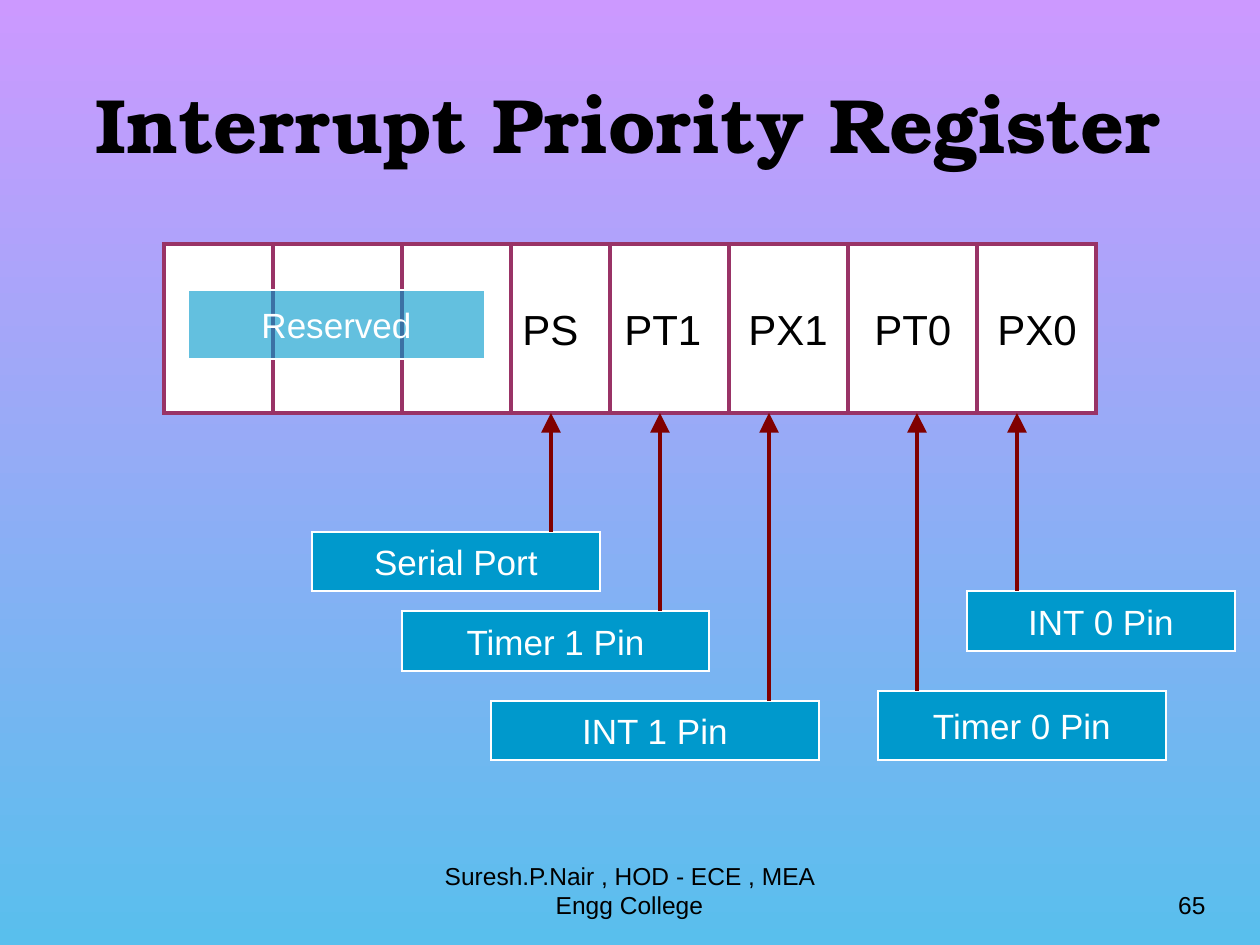
"""Build the Interrupt Priority Register slide."""
from lxml import etree
from pptx import Presentation
from pptx.dml.color import RGBColor
from pptx.enum.shapes import MSO_CONNECTOR, MSO_SHAPE
from pptx.enum.text import MSO_ANCHOR, PP_ALIGN
from pptx.oxml.ns import qn
from pptx.util import Pt

PX = 914400 / 126
RECTANGLE = MSO_SHAPE.RECTANGLE
STRAIGHT = MSO_CONNECTOR.STRAIGHT
MIDDLE, BOTTOM = MSO_ANCHOR.MIDDLE, MSO_ANCHOR.BOTTOM
LEFT, CENTER, RIGHT = PP_ALIGN.LEFT, PP_ALIGN.CENTER, PP_ALIGN.RIGHT
BLACK = RGBColor(0x00, 0x00, 0x00)
WHITE = RGBColor(0xFF, 0xFF, 0xFF)
PLUM = RGBColor(0x99, 0x33, 0x66)
MAROON = RGBColor(0x80, 0x00, 0x00)
BLUE = RGBColor(0x00, 0x99, 0xCC)
LILAC = RGBColor(0xCC, 0x99, 0xFF)
SKY = RGBColor(0x59, 0xBF, 0xED)


def write(box, text, size, color, align, anchor, font="Arial"):
    frame = box.text_frame
    frame.word_wrap = True
    frame.vertical_anchor = anchor
    frame.text = text
    paragraph = frame.paragraphs[0]
    paragraph.alignment = align
    span = paragraph.runs[0]
    span.font.name = font
    span.font.size = Pt(size)
    span.font.color.rgb = color
    return span


def draw_line(x, start, end, color):
    line = page.shapes.add_connector(STRAIGHT, *(round(n * PX) for n in (x, start, x, end)))
    line.line.color.rgb = color
    line.line.width = Pt(2.25)
    etree.SubElement(line._element.spPr, qn("a:effectLst"))
    return line


deck = Presentation()
deck.slide_width, deck.slide_height = round(1260 * PX), round(945 * PX)
page = deck.slides.add_slide(deck.slide_layouts[5])

background = page.background.fill
background.gradient()
background.gradient_angle = 270
for stop, color in zip(background.gradient_stops, (LILAC, SKY)):
    stop.color.rgb = color

title = page.shapes.title
title.left, title.top, title.width, title.height = (round(n * PX) for n in (42, 31, 1173, 183))
heading = write(title, "Interrupt Priority Register", 44, BLACK, CENTER, MIDDLE, "TeX Gyre Bonum")
heading.font.bold = True

REGISTER_TOP, REGISTER_BOTTOM = 244, 413
blocks = {}
for name, left, top, width, height, fill, outline, weight in (
    ("Register", 164, REGISTER_TOP, 932, REGISTER_BOTTOM - REGISTER_TOP, WHITE, PLUM, 2.25),
    ("Reserved", 188, 290, 297, 69, BLUE, WHITE, 1),
    ("Serial Port", 312, 532, 288, 59, BLUE, WHITE, 1),
    ("Timer 1 Pin", 402, 611, 307, 60, BLUE, WHITE, 1),
    ("INT 1 Pin", 491, 701, 328, 59, BLUE, WHITE, 1),
    ("Timer 0 Pin", 878, 691, 288, 69, BLUE, WHITE, 1),
    ("INT 0 Pin", 967, 591, 268, 60, BLUE, WHITE, 1),
):
    block = page.shapes.add_shape(RECTANGLE, *(round(n * PX) for n in (left, top, width, height)))
    block.shadow.inherit = False
    block.fill.solid()
    block.fill.fore_color.rgb = fill
    block.line.color.rgb = outline
    block.line.width = Pt(weight)
    etree.SubElement(block.line._get_or_add_ln(), qn("a:miter"), lim="800000")
    blocks[name] = block
    if name == "Register":
        for x in (273, 402, 511, 610, 729, 848, 977):
            draw_line(x, REGISTER_TOP, REGISTER_BOTTOM, PLUM)
    else:
        write(block, name, 20, WHITE, CENTER, MIDDLE)

register = blocks["Register"]
write(register, "\tPS\tPT1\tPX1\tPT0\tPX0", 24, BLACK, LEFT, MIDDLE)
paragraph_properties = register.text_frame.paragraphs[0]._p.get_or_add_pPr()
tab_list = etree.SubElement(paragraph_properties, qn("a:tabLst"))
for position in (346, 448, 572, 698, 821):
    etree.SubElement(tab_list, qn("a:tab"), pos=str(round(position * PX)), algn="l")

reserved_color = blocks["Reserved"]._element.spPr.find(qn("a:solidFill"))[0]
etree.SubElement(reserved_color, qn("a:alpha"), val="61000")

for x, start in ((551, 532), (660, 611), (769, 701), (917, 691), (1017, 591)):
    arrow = draw_line(x, start, REGISTER_BOTTOM, MAROON)
    etree.SubElement(arrow.line._get_or_add_ln(), qn("a:tailEnd"), type="triangle", w="lg", len="lg")

for text, left, width, align in (
    ("Suresh.P.Nair , HOD - ECE , MEA Engg College", 430, 399, CENTER),
    ("65", 903, 315, RIGHT),
):
    footer = page.shapes.add_textbox(*(round(n * PX) for n in (left, 861, width, 65)))
    write(footer, text, 14, BLACK, align, BOTTOM)

deck.save("out.pptx")
